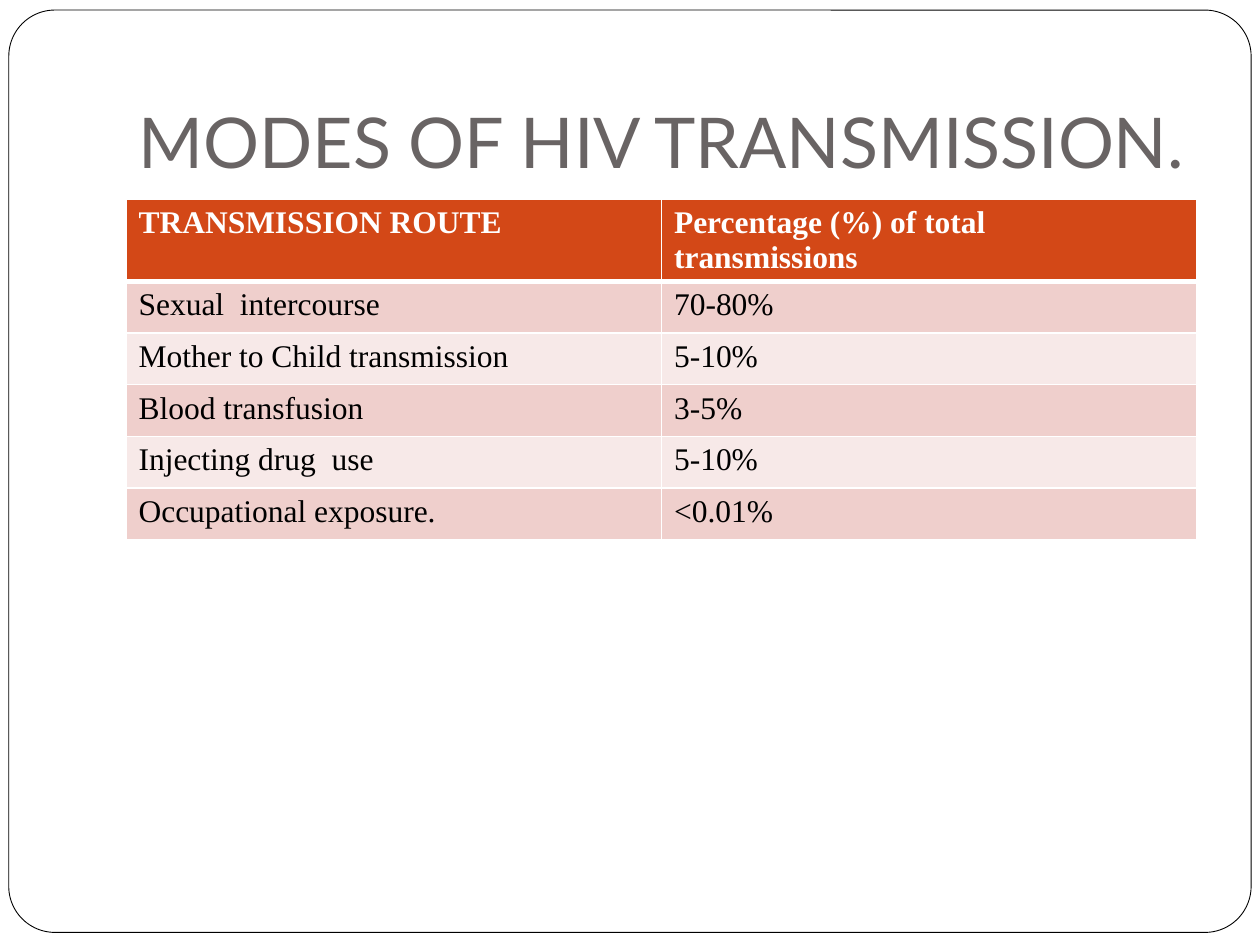
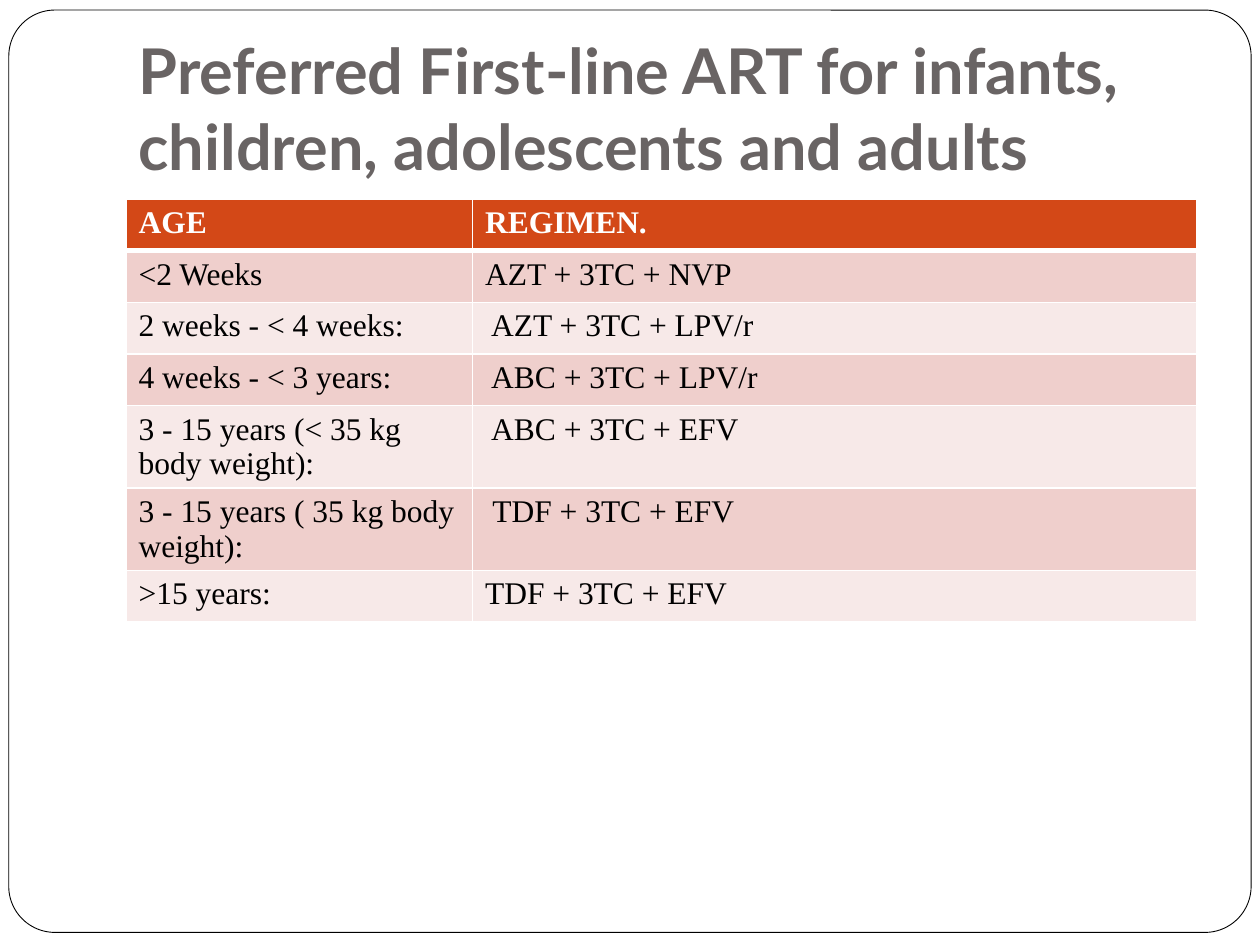
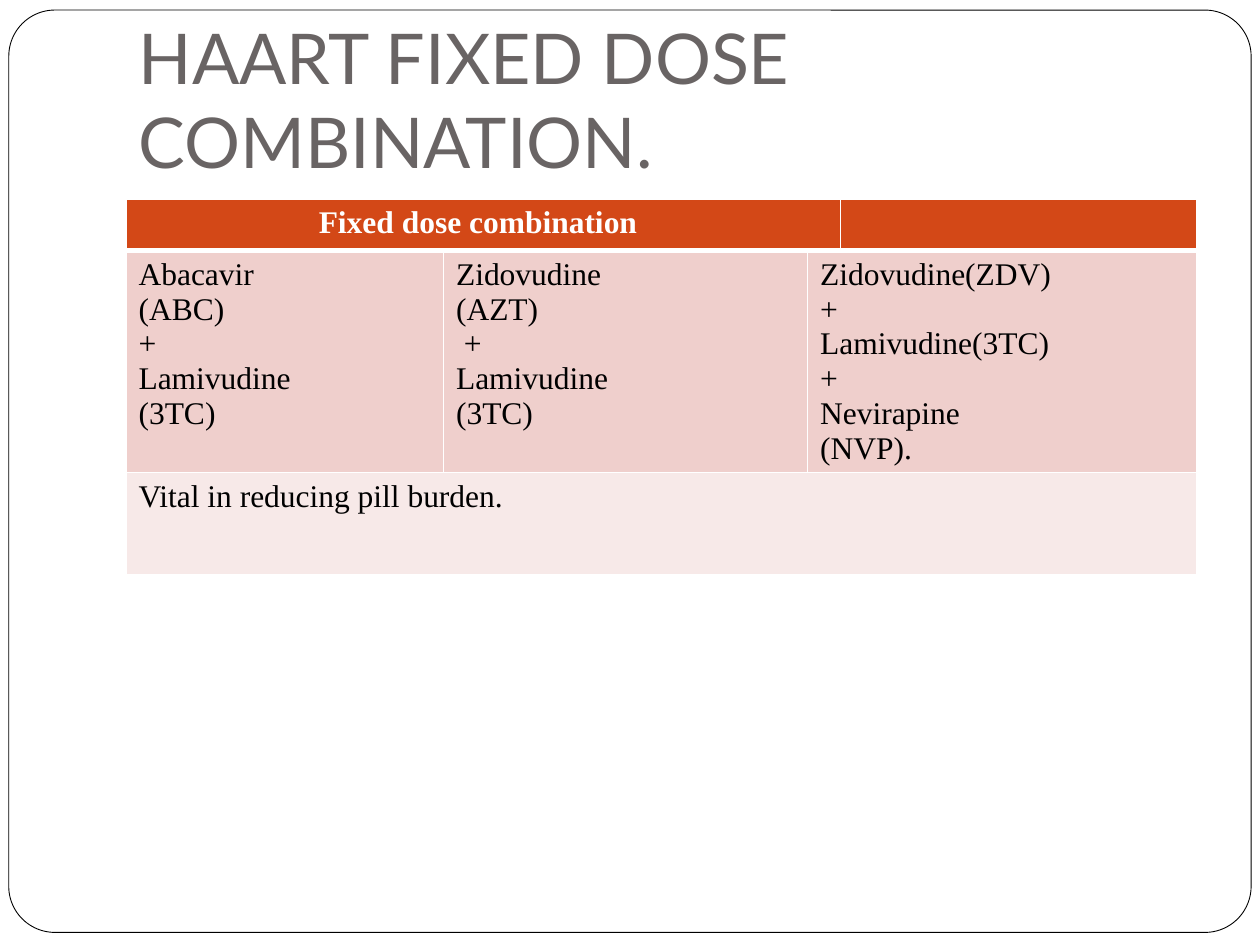
from dataclasses import dataclass

from lxml.etree import SubElement
from pptx import Presentation
from pptx.dml.color import RGBColor
from pptx.enum.shapes import MSO_SHAPE
from pptx.enum.text import MSO_ANCHOR, MSO_AUTO_SIZE, PP_ALIGN
from pptx.oxml.ns import qn
from pptx.presentation import Presentation as Deck
from pptx.slide import Slide
from pptx.table import _Cell as TableCell
from pptx.util import Inches, Pt


@dataclass(frozen=True)
class Theme:
    white: str = "FFFFFF"
    black: str = "000000"
    title_color: str = "696464"
    header_fill: str = "D34817"
    band_fills: tuple[str, str] = ("EFCFCC", "F7E9E8")
    title_font: str = "Lato"
    table_font: str = "Times New Roman"
    title_size: int = 40
    long_title_size: int = 36
    table_size: int = 18
    frame_width: float = 0.5
    grid_width: int = 1
    header_rule_width: int = 3


@dataclass(frozen=True)
class Entry:
    text: str
    span: int = 1
    indent: float = 0


@dataclass(frozen=True)
class Page:
    title: str
    columns: tuple[float, ...]
    rows: tuple[tuple[Entry, ...], ...]
    title_size: int
    title_bold: bool = False
    last_row_height: float = 0.41


THEME = Theme()
CONTENT_LEFT = 1
CONTENT_WIDTH = 8.5
ROW_HEIGHT = 0.41


def plain_rows(*rows: tuple[str, ...]) -> tuple[tuple[Entry, ...], ...]:
    return tuple(tuple(Entry(text) for text in row) for row in rows)


PAGES = (
    Page(
        title="MODES OF HIV TRANSMISSION.",
        columns=(4.25, 4.25),
        rows=plain_rows(
            ("TRANSMISSION ROUTE", "Percentage (%) of total\ntransmissions"),
            ("Sexual  intercourse", "70-80%"),
            ("Mother to Child transmission", "5-10%"),
            ("Blood transfusion", "3-5%"),
            ("Injecting drug  use", "5-10%"),
            ("Occupational exposure.", "<0.01%"),
        ),
        title_size=THEME.title_size,
    ),
    Page(
        title="Preferred First-line ART for infants, children, adolescents and adults",
        columns=(2.75, 5.75),
        rows=plain_rows(
            ("AGE", "REGIMEN."),
            ("<2 Weeks", "AZT + 3TC + NVP"),
            ("2 weeks - < 4 weeks:", " AZT + 3TC + LPV/r"),
            ("4 weeks - < 3 years:", " ABC + 3TC + LPV/r"),
            ("3 - 15 years (< 35 kg body weight):", " ABC + 3TC + EFV"),
            ("3 - 15 years ( 35 kg body weight):", " TDF + 3TC + EFV"),
            (">15 years:", "TDF + 3TC + EFV"),
        ),
        title_size=THEME.long_title_size,
        title_bold=True,
    ),
    Page(
        title="HAART FIXED DOSE COMBINATION.",
        columns=(2.52, 2.89, 0.26, 2.83),
        rows=(
            (Entry("Fixed dose combination", span=3, indent=1.43), Entry("")),
            (
                Entry("Abacavir\n(ABC)\n+\nLamivudine\n(3TC)"),
                Entry("Zidovudine\n(AZT)\n +\nLamivudine\n(3TC)"),
                Entry(
                    "Zidovudine(ZDV)\n+\nLamivudine(3TC)\n+\nNevirapine\n(NVP).",
                    span=2,
                ),
            ),
            (Entry("Vital in reducing pill burden.", span=4),),
        ),
        title_size=THEME.title_size,
        last_row_height=0.81,
    ),
)


def color(value: str) -> RGBColor:
    return RGBColor.from_string(value)


def draw_frame(slide: Slide) -> None:
    frame = slide.shapes.add_shape(
        MSO_SHAPE.ROUNDED_RECTANGLE,
        Inches(0.07), Inches(0.08), Inches(9.86), Inches(7.32),
    )
    frame.adjustments[0] = 0.05
    frame.shadow.inherit = False
    frame.fill.solid()
    frame.fill.fore_color.rgb = color(THEME.white)
    frame.line.color.rgb = color(THEME.black)
    frame.line.width = Pt(THEME.frame_width)
    slide.shapes.element.insert(2, frame.element)


def draw_title(slide: Slide, page: Page) -> None:
    title = slide.shapes.title
    title.left, title.top = Inches(CONTENT_LEFT), Inches(0.3)
    title.width, title.height = Inches(CONTENT_WIDTH), Inches(1.25)
    box = title.text_frame
    box.text = page.title
    box.word_wrap = True
    box.auto_size = MSO_AUTO_SIZE.NONE
    box.vertical_anchor = MSO_ANCHOR.BOTTOM
    box.margin_left = box.margin_right = box.margin_bottom = Inches(0.1)
    box.margin_top = Inches(0.05)
    para = box.paragraphs[0]
    para.alignment = PP_ALIGN.LEFT
    para.font.name = THEME.title_font
    para.font.size = Pt(page.title_size)
    para.font.bold = page.title_bold
    para.font.color.rgb = color(THEME.title_color)


def style_cell(cell: TableCell, row_index: int) -> None:
    properties = cell._tc.get_or_add_tcPr()
    widths = dict.fromkeys(("lnL", "lnR", "lnT", "lnB"), THEME.grid_width)
    if row_index == 0:
        widths["lnB"] = THEME.header_rule_width
    elif row_index == 1:
        widths["lnT"] = THEME.header_rule_width
    for side, width in widths.items():
        border = SubElement(properties, qn(f"a:{side}"), w=str(Pt(width)))
        fill = SubElement(border, qn("a:solidFill"))
        SubElement(fill, qn("a:srgbClr"), val=THEME.white)
    cell.fill.solid()
    band = THEME.band_fills[(row_index - 1) % 2]
    cell.fill.fore_color.rgb = color(THEME.header_fill if row_index == 0 else band)


def write_cell(cell: TableCell, entry: Entry, is_header: bool) -> None:
    cell.text_frame.text = entry.text
    for para in cell.text_frame.paragraphs:
        if entry.indent:
            para._p.get_or_add_pPr().set("marL", str(Inches(entry.indent)))
        para.font.name = THEME.table_font
        para.font.size = Pt(THEME.table_size)
        para.font.bold = is_header
        para.font.color.rgb = color(THEME.white if is_header else THEME.black)


def draw_table(slide: Slide, page: Page) -> None:
    heights = [ROW_HEIGHT] * (len(page.rows) - 1) + [page.last_row_height]
    table = slide.shapes.add_table(
        len(page.rows), len(page.columns),
        Inches(CONTENT_LEFT), Inches(1.58),
        Inches(CONTENT_WIDTH), Inches(sum(heights)),
    ).table
    for column, width in zip(table.columns, page.columns):
        column.width = Inches(width)
    for row_index, (entries, height) in enumerate(zip(page.rows, heights)):
        row = table.rows[row_index]
        row.height = Inches(height)
        for cell in row.cells:
            style_cell(cell, row_index)
        column_index = 0
        for entry in entries:
            cell = table.cell(row_index, column_index)
            column_index += entry.span
            if entry.span > 1:
                cell.merge(table.cell(row_index, column_index - 1))
            write_cell(cell, entry, row_index == 0)


def draw_page(deck: Deck, page: Page) -> None:
    slide = deck.slides.add_slide(deck.slide_layouts.get_by_name("Title Only"))
    draw_frame(slide)
    draw_title(slide, page)
    draw_table(slide, page)


def main() -> None:
    deck = Presentation()
    deck.slide_width, deck.slide_height = Inches(10), Inches(7.5)
    for page in PAGES:
        draw_page(deck, page)
    deck.save("out.pptx")


if __name__ == "__main__":
    main()
